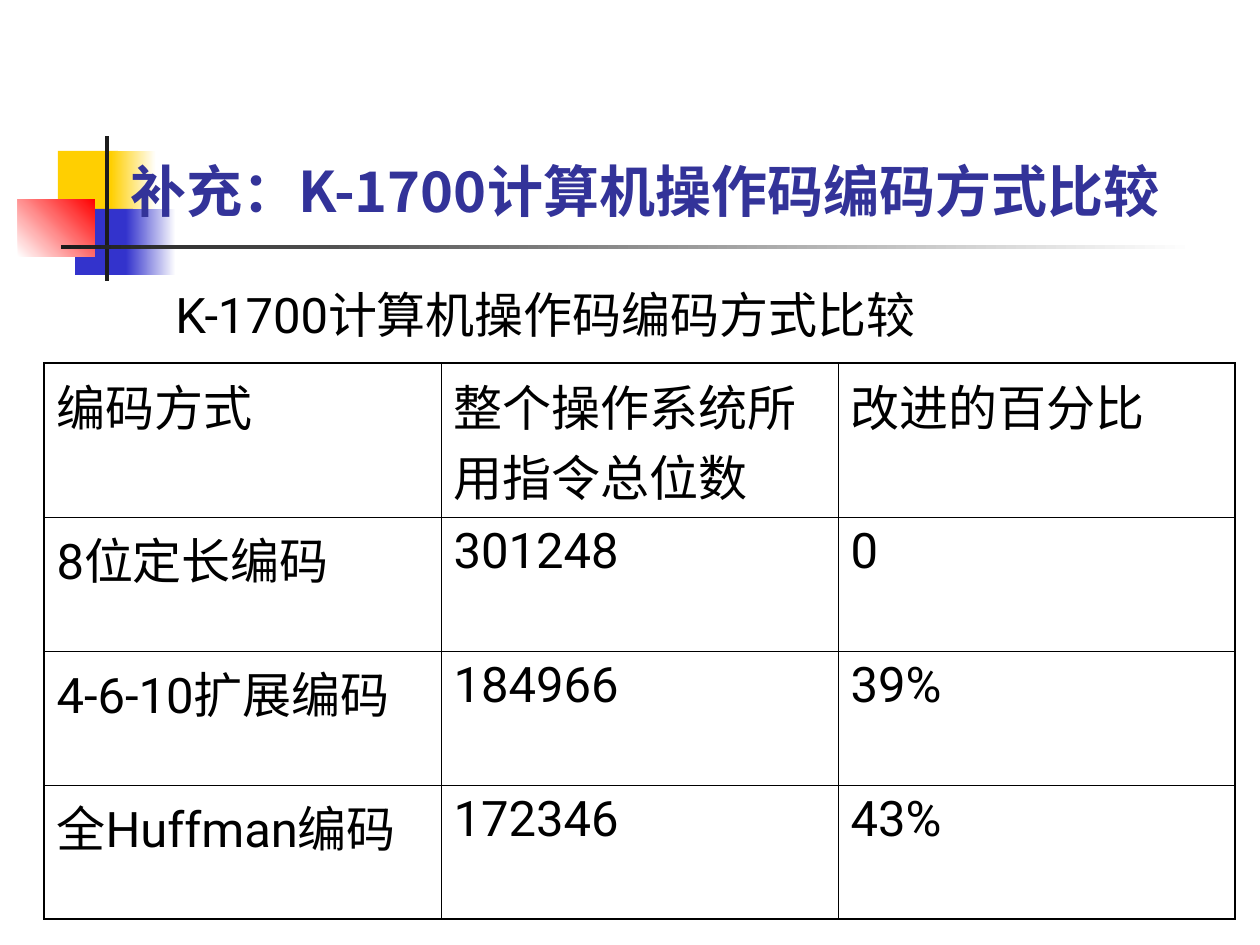
import dataclasses

import pptx
import pptx.dml.color
import pptx.enum.shapes
import pptx.enum.text
import pptx.oxml
import pptx.oxml.ns
import pptx.util

EMU_PER_PX = 914400 / 126


@dataclasses.dataclass(frozen=True)
class Theme:
    latin: str = "Roboto"
    cjk: str = "Noto Sans CJK SC"
    title_size: int = 32
    body_size: int = 28
    title: str = "333399"
    ink: str = "000000"
    white: str = "FFFFFF"
    yellow: str = "FFCF01"
    blue: str = "3333CC"
    red: str = "FF0000"
    rule: str = "1C1C1C"
    outer_border: float = 1.08
    inner_border: float = 0.45


THEME = Theme()
HEADING = "K-1700计算机操作码编码方式比较"
ROWS = [
    ["编码方式", "整个操作系统所用指令总位数", "改进的百分比"],
    ["8位定长编码", "301248", "0"],
    ["4-6-10扩展编码", "184966", "39%"],
    ["全Huffman编码", "172346", "43%"],
]


def px(n):
    return pptx.util.Emu(round(n * EMU_PER_PX))


def rgb(value):
    return pptx.dml.color.RGBColor.from_string(value)


def style_run(r, size, color, latin, bold=False):
    r.font.size = pptx.util.Pt(size)
    r.font.bold = bold
    r.font.color.rgb = rgb(color)
    r.font.name = latin
    ea = pptx.oxml.parse_xml(
        f'<a:ea {pptx.oxml.ns.nsdecls("a")} typeface="{THEME.cjk}"/>')
    r.font._element.find(pptx.oxml.ns.qn("a:latin")).addnext(ea)


def add_block(s, box, start, end=None, angle=0):
    """Add a borderless rectangle, plain or fading from start to end."""
    sp = s.shapes.add_shape(
        pptx.enum.shapes.MSO_SHAPE.RECTANGLE, *map(px, box))
    sp.shadow.inherit = False
    sp.line.fill.background()
    if end is None:
        sp.fill.solid()
        sp.fill.fore_color.rgb = rgb(start)
        return
    sp.fill.gradient()
    sp.fill.gradient_angle = angle
    for stop, color in zip(sp.fill.gradient_stops, (start, end)):
        stop.color.rgb = rgb(color)


def add_ornament(s, x, y):
    """Add the overlapping squares and the two crossing rules."""
    t = THEME
    blocks = [
        ((40, 15, 60, 66), t.yellow),
        ((93, 15, 45, 66), t.yellow, t.white),
        ((57, 73, 58, 66), t.blue),
        ((108, 73, 50, 66), t.blue, t.white),
        ((0, 63, 77, 58), t.white, t.red, 45),
        ((87, 0, 4, 145), t.rule),
        ((43, 109, 1134, 4), t.rule, t.white),
    ]
    for (left, top, width, height), *fill in blocks:
        add_block(s, (x + left, y + top, width, height), *fill)


def add_text(s, box, text, anchor, **style):
    tf = s.shapes.add_textbox(*map(px, box)).text_frame
    tf.word_wrap = True
    tf.vertical_anchor = anchor
    tf.text = text
    style_run(tf.paragraphs[0].runs[0], **style)


def set_borders(cell, widths):
    """Set borders from widths in points, ordered left, right, top, bottom."""
    tc_pr = cell._tc.get_or_add_tcPr()
    for i, (side, width) in enumerate(zip("LRTB", widths)):
        tc_pr.insert(i, pptx.oxml.parse_xml(
            f'<a:ln{side} {pptx.oxml.ns.nsdecls("a")} '
            f'w="{pptx.util.Pt(width)}"><a:solidFill>'
            f'<a:srgbClr val="{THEME.ink}"/></a:solidFill></a:ln{side}>'))


def add_comparison_table(s, x, y, col_width, header_height, row_height):
    n_rows, n_cols = len(ROWS), len(ROWS[0])
    heights = [header_height] + [row_height] * (n_rows - 1)
    table = s.shapes.add_table(
        n_rows, n_cols, px(x), px(y),
        px(col_width * n_cols), px(sum(heights))).table
    table.first_row = table.horz_banding = False
    for col in table.columns:
        col.width = px(col_width)
    for i, (values, height) in enumerate(zip(ROWS, heights)):
        table.rows[i].height = px(height)
        for j, value in enumerate(values):
            cell = table.cell(i, j)
            cell.text = value
            style_run(cell.text_frame.paragraphs[0].runs[0],
                      THEME.body_size, THEME.ink, THEME.latin)
            cell.fill.background()
            on_edge = (j == 0, j == n_cols - 1, i == 0, i == n_rows - 1)
            set_borders(cell, [THEME.outer_border if edge
                               else THEME.inner_border for edge in on_edge])


def main():
    prs = pptx.Presentation()
    prs.slide_width, prs.slide_height = px(1260), px(945)
    s = prs.slides.add_slide(prs.slide_layouts[6])
    anchor = pptx.enum.text.MSO_ANCHOR
    add_ornament(s, 18, 136)
    add_text(s, (118, 88, 1063, 142), "补充：" + HEADING, anchor.BOTTOM,
             size=THEME.title_size, color=THEME.title, latin=THEME.cjk,
             bold=True)
    add_text(s, (163, 278, 804, 86), HEADING, anchor.TOP,
             size=THEME.body_size, color=THEME.ink, latin=THEME.latin)
    add_comparison_table(s, 44, 363, 397, header_height=154, row_height=134)
    prs.save("out.pptx")


if __name__ == "__main__":
    main()
